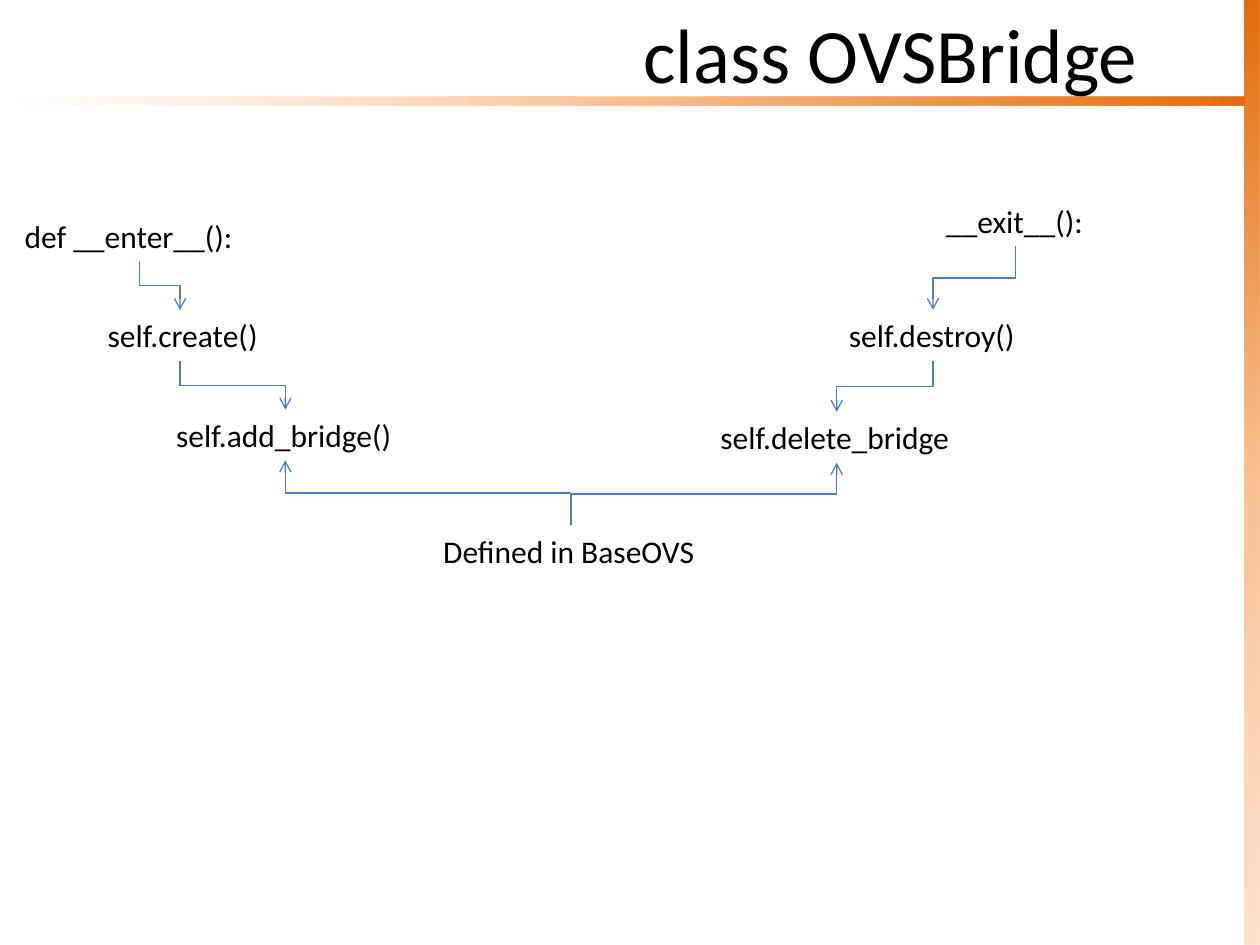
from lxml.etree import SubElement
from pptx import Presentation
from pptx.dml.color import RGBColor as Rgb
from pptx.enum.shapes import MSO_CONNECTOR as Connector, MSO_SHAPE as Shape
from pptx.enum.text import MSO_ANCHOR as Anchor, MSO_AUTO_SIZE as AutoSize, PP_ALIGN as Align
from pptx.oxml.ns import qn
from pptx.util import Pt

COLORS = {"text": "000000", "arrow": "4B7EBC", "deep": "E46C0A", "mid": "FAC090", "pale": "FCD5B5"}
TITLE_FONT = {"name": "Calibri", "size": Pt(44), "bold": False}
LABEL_FONT = {"name": "Calibri", "size": Pt(18)}
LABEL_HEIGHT = 29.1
LABELS = {
    "enter": (" def __enter__():", 3, 120.2, 153.4, True),
    "exit": ("__exit__():", 533.5, 111.6, 93.6, False),
    "create": (" self.create()", 50.4, 177.1, 105, False),
    "destroy": ("self.destroy()", 478, 177.1, 110.2, False),
    "add": ("self.add_bridge()", 93.6, 234, 139, False),
    "delete": ("self.delete_bridge", 404.6, 235.4, 147, False),
    "base": ("Defined in BaseOVS", 246.2, 300.2, 160, False),
}
CALLS = [
    ("enter", "create"), ("create", "add"),
    ("exit", "destroy"), ("destroy", "delete"),
    ("base", "add"), ("base", "delete"),
]


class SlideBuilder:
    """Draws styled elements on the current slide."""

    def __init__(self, slide):
        self.slide = slide
        self.shapes = slide.shapes

    def add_text(self, frame, text, font_values):
        para = frame.paragraphs[0]
        span = para.add_run()
        span.text = text
        for name, value in font_values.items():
            setattr(span.font, name, value)
        span.font.color.rgb = Rgb.from_string(COLORS["text"])
        return para

    def bar(self, left, top, width, height, angle, end_alpha):
        bar = self.shapes.add_shape(Shape.RECTANGLE, Pt(left), Pt(top), Pt(width), Pt(height))
        bar.shadow.inherit = False
        bar.line.fill.background()
        bar.fill.gradient()
        gradient = bar.element.spPr.find(qn("a:gradFill"))
        stops = gradient.find(qn("a:gsLst"))
        for stop in list(stops):
            stops.remove(stop)
        for position, color, alpha in ((0, "deep", 100), (50, "mid", 100), (100, "pale", end_alpha)):
            stop = SubElement(stops, qn("a:gs"), pos=str(position * 1000))
            tint = SubElement(stop, qn("a:srgbClr"), val=COLORS[color])
            if alpha < 100:
                SubElement(tint, qn("a:alpha"), val=str(alpha * 1000))
        gradient.find(qn("a:lin")).set("ang", str(angle * 60000))

    def title(self, text, left, top, width, height):
        title = self.shapes.title
        self.shapes.element.append(title.element)
        place = {"left": left, "top": top, "width": width, "height": height}
        for name, value in place.items():
            setattr(title, name, Pt(value))
        frame = title.text_frame
        frame_values = {"word_wrap": True, "auto_size": AutoSize.NONE, "vertical_anchor": Anchor.TOP}
        for name, value in frame_values.items():
            setattr(frame, name, value)
        self.add_text(frame, text, TITLE_FONT).alignment = Align.CENTER

    def label(self, text, left, top, width, wrap):
        box = self.shapes.add_textbox(Pt(left), Pt(top), Pt(width), Pt(LABEL_HEIGHT))
        box.text_frame.word_wrap = wrap
        box.text_frame.auto_size = AutoSize.SHAPE_TO_FIT_TEXT
        self.add_text(box.text_frame, text, LABEL_FONT)
        return box

    def arrow(self, source, target):
        start_x, end_x = (box.left + box.width // 2 for box in (source, target))
        if source.top < target.top:
            start_y, end_y = source.top + source.height, target.top
        else:
            start_y, end_y = source.top, target.top + target.height
        middle_x, middle_y = (start_x + end_x) // 2, (start_y + end_y) // 2
        half_x, half_y = (end_x - start_x) // 2, (end_y - start_y) // 2
        arrow = self.shapes.add_connector(
            Connector.ELBOW,
            middle_x - half_y, middle_y + half_x,
            middle_x + half_y, middle_y - half_x,
        )
        properties = arrow.element.spPr
        properties.find(qn("a:xfrm")).set("rot", str(90 * 60000))
        arrow.line.width = Pt(0.75)
        arrow.line.color.rgb = Rgb.from_string(COLORS["arrow"])
        SubElement(properties.find(qn("a:ln")), qn("a:tailEnd"), type="arrow")
        SubElement(properties, qn("a:effectLst"))


def main():
    deck = Presentation()
    deck.slide_width, deck.slide_height = Pt(720), Pt(540)
    page = SlideBuilder(deck.slides.add_slide(deck.slide_layouts.get_by_name("Title Only")))
    page.bar(711.4, 0, 8.6, 540, 90, 69)
    page.bar(8.6, 55.2, 702.8, 5.2, 180, 0)
    page.title("class OVSBridge", 296, 0, 426, 90)
    boxes = {name: page.label(*values) for name, values in LABELS.items()}
    for source, target in CALLS:
        page.arrow(boxes[source], boxes[target])
    deck.save("out.pptx")


if __name__ == "__main__":
    main()
